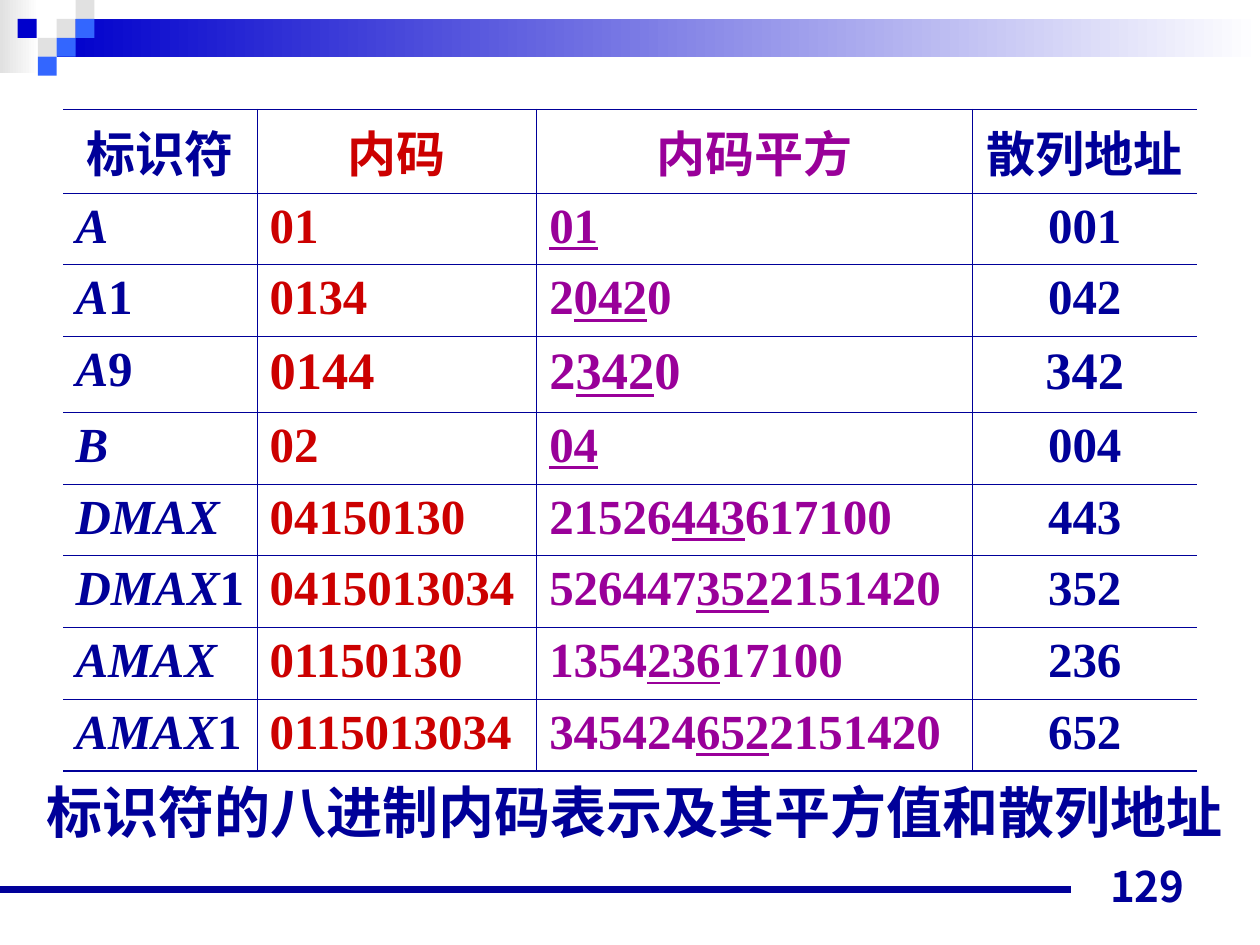
from dataclasses import dataclass

from lxml import etree
from pptx import Presentation
from pptx.dml.color import RGBColor
from pptx.enum.shapes import MSO_CONNECTOR, MSO_SHAPE
from pptx.enum.text import MSO_ANCHOR, PP_ALIGN
from pptx.oxml.ns import qn
from pptx.util import Inches, Pt

RECTANGLE = MSO_SHAPE.RECTANGLE
STRAIGHT = MSO_CONNECTOR.STRAIGHT
LEFT, CENTER, RIGHT = PP_ALIGN.LEFT, PP_ALIGN.CENTER, PP_ALIGN.RIGHT
TOP, BOTTOM = MSO_ANCHOR.TOP, MSO_ANCHOR.BOTTOM


@dataclass(frozen=True)
class Theme:
    navy: str = "000099"
    red: str = "CC0000"
    purple: str = "990099"
    blue: str = "0000CC"
    light_blue: str = "3366FF"
    grey: str = "E1E1E1"
    white: str = "FFFFFF"
    serif: str = "Times New Roman"
    sans: str = "Arial"
    cjk: str = "Noto Sans CJK JP"
    table_size: float = 28
    large_row_size: float = 30
    caption_size: float = 32
    number_size: float = 24
    thin_line: float = 0.45
    outer_line: float = 1.08
    footer_line: float = 4.5


THEME = Theme()
COLUMN_WIDTHS = (1.54, 2.22, 3.46, 1.78)
COLUMN_COLORS = (THEME.navy, THEME.red, THEME.purple, THEME.navy)
ROW_HEIGHT, LARGE_ROW_HEIGHT = 0.57, 0.6
LARGE_ROW = 3
HEADERS = ("标识符", "内码", "内码平方", "散列地址")
# Identifier letters, identifier digit, code, square split around its middle digits, address
RECORDS = (
    ("A", "", "01", ("", "01", ""), "001"),
    ("A", "1", "0134", ("2", "042", "0"), "042"),
    ("A", "9", "0144", ("2", "342", "0"), "342"),
    ("B", "", "02", ("", "04", ""), "004"),
    ("DMAX", "", "04150130", ("21526", "443", "617100"), "443"),
    ("DMAX", "1", "0415013034", ("526447", "352", "2151420"), "352"),
    ("AMAX", "", "01150130", ("1354", "236", "17100"), "236"),
    ("AMAX", "1", "0115013034", ("345424", "652", "2151420"), "652"),
)
SQUARE = 0.15
CORNER_SQUARES = (
    (0.45, 0.15, THEME.grey),
    (0.6, 0, THEME.grey),
    (0.6, 0.15, THEME.light_blue),
    (0.3, 0.3, THEME.grey),
    (0.14, 0.15, THEME.blue),
    (0.45, 0.3, THEME.light_blue),
    (0.3, 0.45, THEME.light_blue),
)


def rgb(color):
    return RGBColor.from_string(color)


def add_run(paragraph, text, size, color, font_name, italic=False, underline=False):
    run = paragraph.add_run()
    run.text = text
    font = run.font
    font.name, font.size, font.bold = font_name, Pt(size), True
    font.italic, font.underline = italic, underline
    font.color.rgb = rgb(color)
    east_asian = etree.SubElement(run._r.get_or_add_rPr(), qn("a:ea"))
    east_asian.set("typeface", THEME.cjk)


def add_rectangle(slide, left, top, width, height, color, fade=False):
    """Draw a plain block; with fade it runs from the colour to white on the right."""
    shape = slide.shapes.add_shape(
        RECTANGLE, Inches(left), Inches(top), Inches(width), Inches(height))
    shape.shadow.inherit = False
    shape.line.fill.background()
    if fade:
        shape.fill.gradient()
        shape.fill.gradient_angle = 0
        for stop, stop_color in zip(shape.fill.gradient_stops, (color, THEME.white)):
            stop.color.rgb = rgb(stop_color)
    else:
        shape.fill.solid()
        shape.fill.fore_color.rgb = rgb(color)


def add_footer_line(slide):
    line = slide.shapes.add_connector(
        STRAIGHT, Inches(0), Inches(7.06), Inches(8.5), Inches(7.06))
    line.line.color.rgb = rgb(THEME.navy)
    line.line.width = Pt(THEME.footer_line)
    etree.SubElement(line._element.spPr, qn("a:effectLst"))


def add_text(slide, box, text, size, font_name, align=LEFT, anchor=TOP):
    text_frame = slide.shapes.add_textbox(*map(Inches, box)).text_frame
    text_frame.word_wrap = True
    text_frame.vertical_anchor = anchor
    paragraph = text_frame.paragraphs[0]
    paragraph.alignment = align
    add_run(paragraph, text, size, THEME.navy, font_name)


def set_borders(cell, widths):
    """Set left, right, top and bottom lines; a width of 0 hides the line."""
    properties = cell._tc.get_or_add_tcPr()
    for index, (side, width) in enumerate(zip("LRTB", widths)):
        line = etree.Element(qn(f"a:ln{side}"), w=str(int(Pt(width))))
        if width:
            fill = etree.SubElement(line, qn("a:solidFill"))
            etree.SubElement(fill, qn("a:srgbClr"), val=THEME.navy)
        else:
            etree.SubElement(line, qn("a:noFill"))
        properties.insert(index, line)


def row_pieces(record):
    """Return, for each column, its runs as (text, italic, underline)."""
    letters, digit, code, (before, middle, after), address = record
    return (
        ((letters, True, False), (digit, False, False)),
        ((code, False, False),),
        ((before, False, False), (middle, False, True), (after, False, False)),
        ((address, False, False),),
    )


def add_hash_table(slide):
    rows = [[((header, False, False),) for header in HEADERS]]
    rows += [row_pieces(record) for record in RECORDS]
    last_row, last_column = len(rows) - 1, len(HEADERS) - 1
    height = ROW_HEIGHT * last_row + LARGE_ROW_HEIGHT
    table = slide.shapes.add_table(
        len(rows), len(HEADERS), Inches(0.5), Inches(0.87),
        Inches(sum(COLUMN_WIDTHS)), Inches(height)).table
    table.first_row = table.horz_banding = False
    for column, width in zip(table.columns, COLUMN_WIDTHS):
        column.width = Inches(width)
    thin, outer = THEME.thin_line, THEME.outer_line
    for row_index, row in enumerate(rows):
        large = row_index == LARGE_ROW
        table.rows[row_index].height = Inches(LARGE_ROW_HEIGHT if large else ROW_HEIGHT)
        for column_index, pieces in enumerate(row):
            cell = table.cell(row_index, column_index)
            cell.fill.background()
            set_borders(cell, (
                thin if column_index else 0,
                thin if column_index < last_column else 0,
                thin if row_index else outer,
                thin if row_index < last_row else outer))
            paragraph = cell.text_frame.paragraphs[0]
            centered = row_index == 0 or column_index == last_column
            paragraph.alignment = CENTER if centered else LEFT
            size = THEME.large_row_size if large and column_index else THEME.table_size
            for text, italic, underline in pieces:
                if text:
                    add_run(paragraph, text, size, COLUMN_COLORS[column_index],
                            THEME.serif, italic, underline)


def main():
    presentation = Presentation()
    presentation.slide_width, presentation.slide_height = Inches(10), Inches(7.5)
    slide = presentation.slides.add_slide(presentation.slide_layouts[6])
    add_rectangle(slide, 0, 0, 0.31, 0.58, THEME.grey, fade=True)
    add_rectangle(slide, 0.45, 0.15, 9.55, 0.3, THEME.blue, fade=True)
    for left, top, color in CORNER_SQUARES:
        add_rectangle(slide, left, top, SQUARE, SQUARE, color)
    add_footer_line(slide)
    add_hash_table(slide)
    add_text(slide, (0.27, 6.12, 9.7, 0.64), "标识符的八进制内码表示及其平方值和散列地址",
             THEME.caption_size, THEME.sans)
    add_text(slide, (7.17, 6.78, 2.33, 0.5), "129",
             THEME.number_size, THEME.cjk, RIGHT, BOTTOM)
    presentation.save("out.pptx")


if __name__ == "__main__":
    main()
